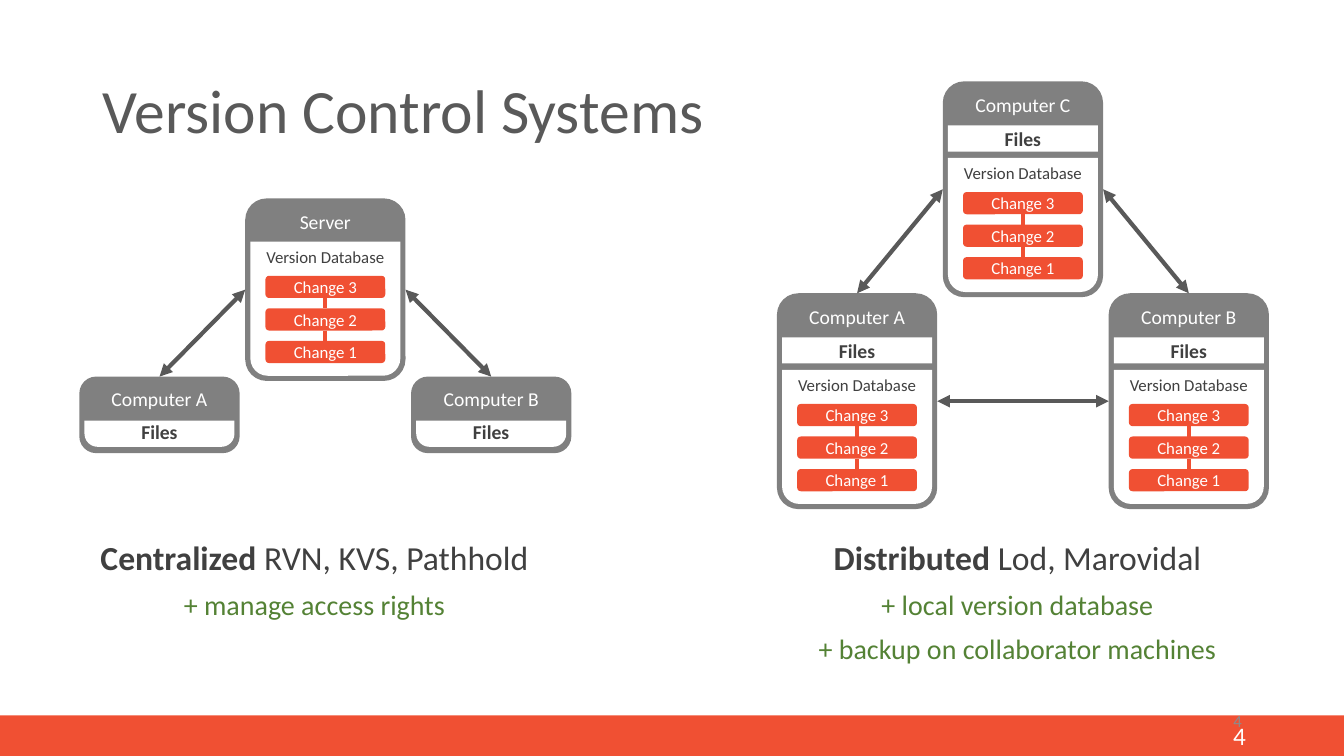
from lxml import etree
from pptx import Presentation
from pptx import util as u
from pptx.dml.color import RGBColor
from pptx.enum import shapes, text
from pptx.oxml import ns

Cm, Pt = u.Cm, u.Pt
MSO, AL, ANC = shapes.MSO_SHAPE, text.PP_ALIGN, text.MSO_ANCHOR
rgb = RGBColor.from_string
GREY, ORANGE, WHITE, DARK, ARROW, GREEN = (
    "808080", "F05033", "FFFFFF", "404040", "595959", "548235")

prs = Presentation()
prs.slide_width, prs.slide_height = Cm(33.87), Cm(19.05)
s = prs.slides.add_slide(prs.slide_layouts[5])


def box(kind, at, fill, paras, adj=(), align=AL.CENTER, para_fmt={}, **frame_fmt):
    at = [Cm(v) for v in at]
    if kind is None:
        sp = s.shapes.add_textbox(*at)
    else:
        sp = s.shapes.add_shape(kind, *at)
        sp.shadow.inherit = False
        sp.fill.solid()
        sp.fill.fore_color.rgb = rgb(fill)
        sp.line.fill.background()
        for i, v in enumerate(adj):
            sp.adjustments[i] = v
    tf = sp.text_frame
    for k, v in {"word_wrap": True, **frame_fmt}.items():
        setattr(tf, k, v)
    for i, runs in enumerate(paras):
        p = tf.paragraphs[0] if i == 0 else tf.add_paragraph()
        for k, v in {"alignment": align, **para_fmt}.items():
            setattr(p, k, v)
        for label, size, color, bold in runs:
            r = p.add_run()
            r.text = label
            for k, v in {"name": "Calibri", "size": Pt(size), "bold": bold}.items():
                setattr(r.font, k, v)
            r.font.color.rgb = rgb(color)
    return sp


def join(a, a_site, b, b_site, color, arrows=False):
    c = s.shapes.add_connector(shapes.MSO_CONNECTOR.STRAIGHT, 0, 0, 0, 0)
    c.begin_connect(a, a_site)
    c.end_connect(b, b_site)
    c.line.color.rgb = rgb(color)
    c.line.width = Pt(3)
    if arrows:
        ln = c.line._get_or_add_ln()
        for end in ("a:headEnd", "a:tailEnd"):
            etree.SubElement(ln, ns.qn(end), type="triangle")
    etree.SubElement(c._element.spPr, ns.qn("a:effectLst"))


title = s.shapes.title
for k, v in {"left": 2.33, "top": 1.02, "width": 29.21, "height": 3.68}.items():
    setattr(title, k, Cm(v))
tf = title.text_frame
tf.text = "Version Control Systems"
for k, v in {"vertical_anchor": ANC.MIDDLE, "word_wrap": True,
             "auto_size": text.MSO_AUTO_SIZE.NONE}.items():
    setattr(tf, k, v)
p = tf.paragraphs[0]
p.alignment, p.line_spacing = AL.LEFT, 0.9
for k, v in {"name": "Calibri", "size": Pt(44), "bold": False}.items():
    setattr(p.runs[0].font, k, v)
p.runs[0].font.color.rgb = rgb(ARROW)

captions = [
    ((0.76, 13.51, 14.33, 2.31), "Centralized", " RVN, KVS, Pathhold",
     ["+ manage access rights"]),
    ((18.44, 13.51, 14.4, 3.43), "Distributed", " Lod, Marovidal",
     ["+ local version database", "+ backup on collaborator machines"]),
]
for at, name, tools, benefits in captions:
    heading = [(name, 24, DARK, True), (tools, 24, DARK, False)]
    box(None, at, None, [heading] + [[(b, 20, GREEN, False)] for b in benefits],
        para_fmt={"line_spacing": 0.9, "space_before": Pt(10)})

box(MSO.RECTANGLE, (0, 18.03, 33.87, 1.02), ORANGE, [[("4", 18, WHITE, False)]],
    align=AL.RIGHT, vertical_anchor=ANC.MIDDLE, margin_right=Cm(2.47))
box(None, (23.93, 17.65, 7.62, 1.02), None, [[("4", 12, "8C8C8C", False)]],
    align=AL.RIGHT, vertical_anchor=ANC.MIDDLE)

W, EDGE, CHANGE_W, CHANGE_H, PITCH = 4.04, 0.13, 3.02, 0.56, 0.82
INNER = W - 2 * EDGE
flat = {"vertical_anchor": ANC.MIDDLE, "margin_top": 0, "margin_bottom": 0}
machines = [
    ("Computer C", 23.76, 2.05, 5.44, 1.93, True),
    ("Computer A", 19.58, 7.39, 5.44, 1.93, True),
    ("Computer B", 27.94, 7.39, 5.44, 1.93, True),
    ("Server", 6.18, 5.0, 4.6, 1.09, False),
    ("Computer A", 2.0, 9.49, 1.93, None, True),
    ("Computer B", 10.36, 9.49, 1.93, None, True),
]
frames = []
for name, x, y, h, db, files in machines:
    frames.append(box(MSO.ROUNDED_RECTANGLE, (x, y, W, h), GREY,
                      [[(name, 14, WHITE, False)]], [0.134 if db else 0.22],
                      vertical_anchor=ANC.TOP))
    if files:
        kind, adj = (MSO.RECTANGLE, ()) if db else (MSO.ROUND_2_SAME_RECTANGLE, (0, 0.5))
        box(kind, (x + EDGE, y + 1.11, INNER, 0.66), WHITE,
            [[("Files", 14, DARK, True)]], adj, **flat)
    if db:
        box(MSO.ROUND_2_SAME_RECTANGLE, (x + EDGE, y + db, INNER, 3.38), WHITE,
            [[("Version Database", 12, DARK, False)]], (0, 0.13),
            vertical_anchor=ANC.TOP, margin_left=0, margin_right=0)
        changes = [box(MSO.ROUNDED_RECTANGLE,
                       (x + (W - CHANGE_W) / 2, y + db + 0.86 + i * PITCH, CHANGE_W, CHANGE_H),
                       ORANGE, [[(f"Change {3 - i}", 12, WHITE, False)]], **flat)
                   for i in range(3)]
        for upper, lower in zip(changes, changes[1:]):
            join(upper, 2, lower, 0, ORANGE)

peer_c, peer_a, peer_b, server, client_a, client_b = frames
for a, a_site, b, b_site in [
    (peer_c, 1, peer_a, 0), (peer_c, 3, peer_b, 0), (peer_b, 1, peer_a, 3),
    (client_a, 0, server, 1), (server, 3, client_b, 0),
]:
    join(a, a_site, b, b_site, ARROW, arrows=True)

prs.save("out.pptx")
